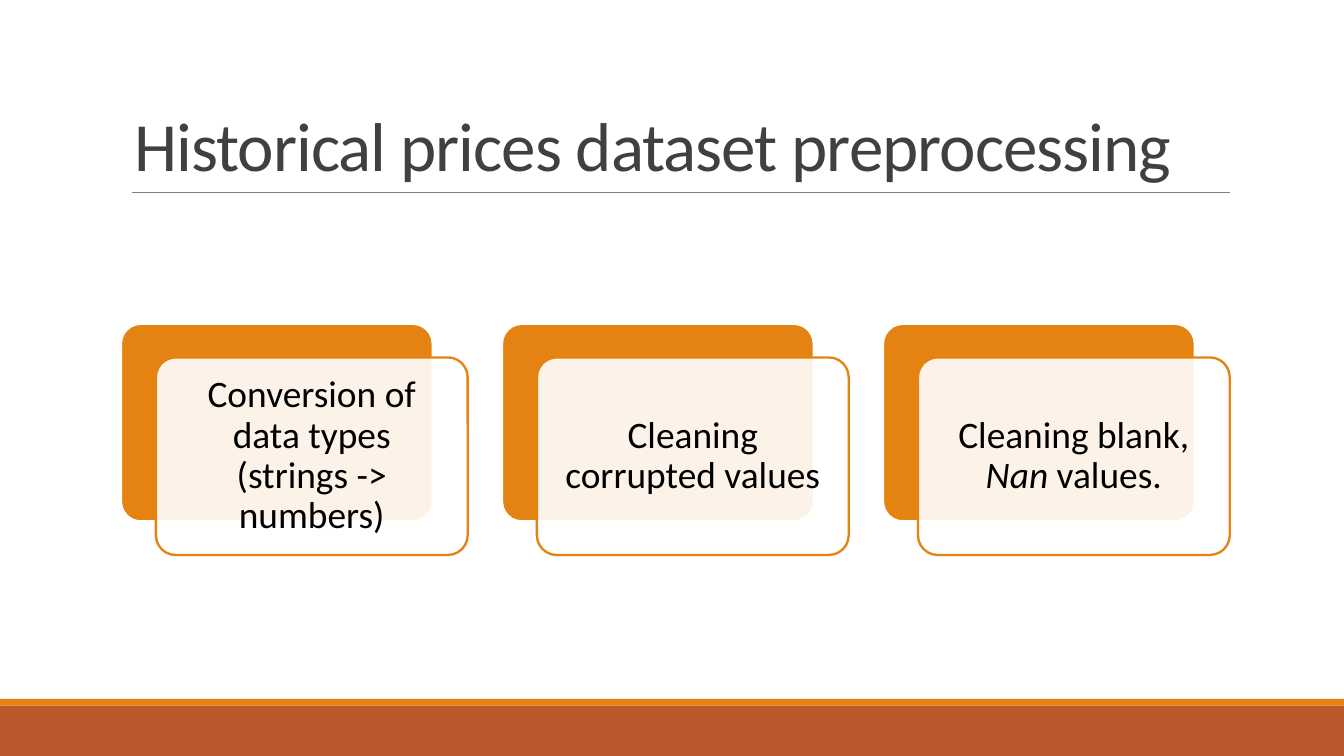
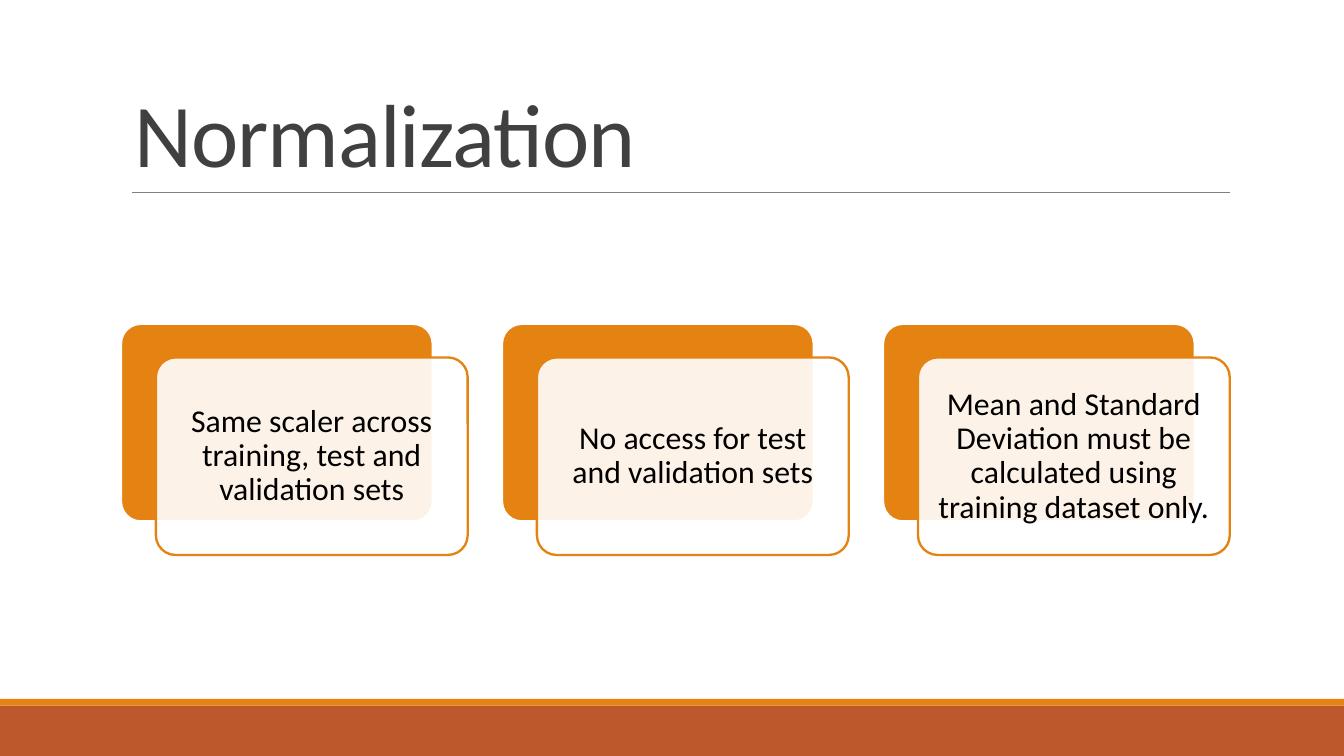
from lxml import etree
from pptx import Presentation
from pptx.dml.color import RGBColor
from pptx.enum.shapes import MSO_CONNECTOR as CONN, MSO_SHAPE as SHAPE
from pptx.enum.text import MSO_ANCHOR as ANCHOR, PP_ALIGN as ALIGN
from pptx.oxml.ns import qn
from pptx.util import Inches, Pt

ORANGE = RGBColor(0xE4, 0x83, 0x12)
RUST = RGBColor(0xBD, 0x58, 0x2C)
GREY = RGBColor(0x80, 0x80, 0x80)
DARK = RGBColor(0x40, 0x40, 0x40)
BLACK = RGBColor(0, 0, 0)
WHITE = RGBColor(0xFF, 0xFF, 0xFF)
FONT = "Calibri"

SLIDE_W = 10
SLIDE_H = SLIDE_W * 9 / 16
TITLE_BOX = (0.9, 0.24, 8.25, 1.19)
CARDS_BOX = (0.9, 2.41, 8.25, 1.72)
CARD_W, CARD_H = 2.32, 1.47
SHIFT_X, SHIFT_Y = 0.26, 0.25
TEXT_W, TEXT_H = 2.23, 1.39

SLIDES = [
    ("Historical prices dataset preprocessing", 37, 20, [
        [("Conversion of data types (strings -> numbers)", False)],
        [("Cleaning corrupted values", False)],
        [("Cleaning blank, ", False), ("Nan", True), (" values.", False)],
    ]),
    ("Normalization", 48, 17, [
        [("Same scaler across training, test and validation sets", False)],
        [("No access for test and validation sets", False)],
        [("Mean and Standard Deviation must be calculated using "
          "training dataset only.", False)],
    ]),
]


def add_block(s, kind, box, fill, line=None):
    """Add a filled preset shape, outlined when a line colour is given."""
    sp = s.shapes.add_shape(kind, *map(Inches, box))
    sp.shadow.inherit = False
    sp.fill.solid()
    sp.fill.fore_color.rgb = fill
    if line is None:
        sp.line.fill.background()
    else:
        sp.line.color.rgb = line
        sp.line.width = Pt(1.25)
    return sp


def add_text(s, box, runs, size, color, anchor, spacing, align=ALIGN.LEFT):
    """Add a one-paragraph text box from (text, italic) runs."""
    tf = s.shapes.add_textbox(*map(Inches, box)).text_frame
    tf.word_wrap = True
    tf.vertical_anchor = anchor
    p = tf.paragraphs[0]
    p.alignment = align
    p.line_spacing = spacing
    for text, italic in runs:
        r = p.add_run()
        r.text = text
        r.font.name = FONT
        r.font.size = Pt(size)
        r.font.italic = italic
        r.font.color.rgb = color
    return tf


def add_bands(s):
    """Add the two footer bands."""
    add_block(s, SHAPE.RECTANGLE, (0, 5.25, SLIDE_W, SLIDE_H - 5.25), RUST)
    add_block(s, SHAPE.RECTANGLE, (0, 5.2, SLIDE_W, 0.05), ORANGE)


def add_title(s, box, title, size):
    """Add the title and the rule along the bottom of its box."""
    x, y, w, h = box
    rule = s.shapes.add_connector(
        CONN.STRAIGHT, *map(Inches, (x + 0.08, y + h, x + w, y + h)))
    rule.line.color.rgb = GREY
    rule.line.width = Pt(0.5)
    etree.SubElement(rule._element.spPr, qn("a:effectLst"))
    tf = add_text(s, box, [(title, False)], size, DARK, ANCHOR.BOTTOM, 0.85)
    for r in tf.paragraphs[0].runs:
        r.font._element.set("spc", "-50")


def add_card(s, x, y, runs, size):
    """Add an orange card with a translucent text card shifted over it."""
    back = add_block(s, SHAPE.ROUNDED_RECTANGLE, (x, y, CARD_W, CARD_H),
                     ORANGE, WHITE)
    x, y = x + SHIFT_X, y + SHIFT_Y
    front = add_block(s, SHAPE.ROUNDED_RECTANGLE, (x, y, CARD_W, CARD_H),
                      WHITE, ORANGE)
    for sp in (back, front):
        sp.adjustments[0] = 0.1
    color = front._element.spPr.find(qn("a:solidFill"))[0]
    etree.SubElement(color, qn("a:alpha"), val="90000")
    box = (x + (CARD_W - TEXT_W) / 2, y + (CARD_H - TEXT_H) / 2,
           TEXT_W, TEXT_H)
    tf = add_text(s, box, runs, size, BLACK, ANCHOR.MIDDLE, 0.9, ALIGN.CENTER)
    margin = Inches(0.3 * size / 72)
    tf.margin_left = tf.margin_right = margin
    tf.margin_top = tf.margin_bottom = margin


def add_cards(s, box, cards, size):
    """Spread the cards evenly across the box."""
    x, y, w, _ = box
    step = (w - CARD_W - SHIFT_X) / (len(cards) - 1)
    for i, runs in enumerate(cards):
        add_card(s, x + i * step, y, runs, size)


def main():
    """Build and save the deck."""
    prs = Presentation()
    prs.slide_width, prs.slide_height = Inches(SLIDE_W), Inches(SLIDE_H)
    for title, title_size, card_size, cards in SLIDES:
        s = prs.slides.add_slide(prs.slide_layouts[6])
        add_bands(s)
        add_title(s, TITLE_BOX, title, title_size)
        add_cards(s, CARDS_BOX, cards, card_size)
    prs.save("out.pptx")


if __name__ == "__main__":
    main()
